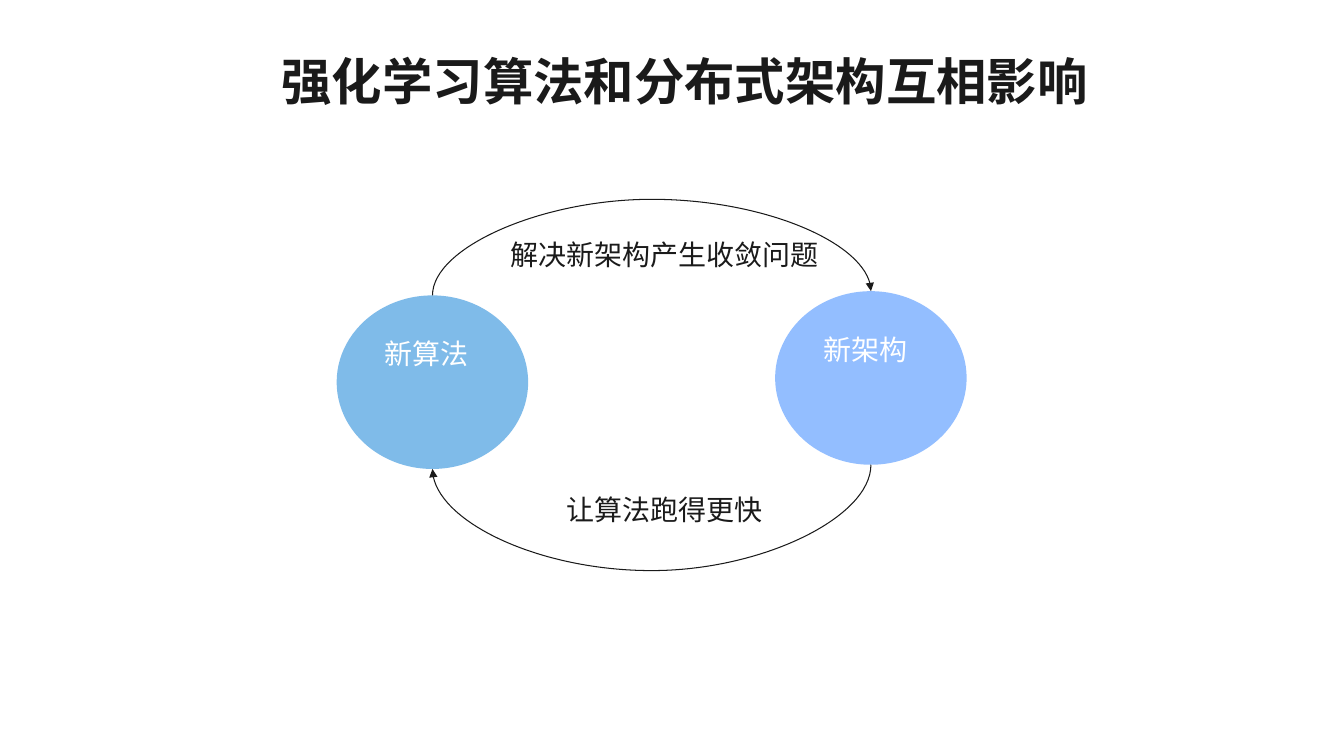
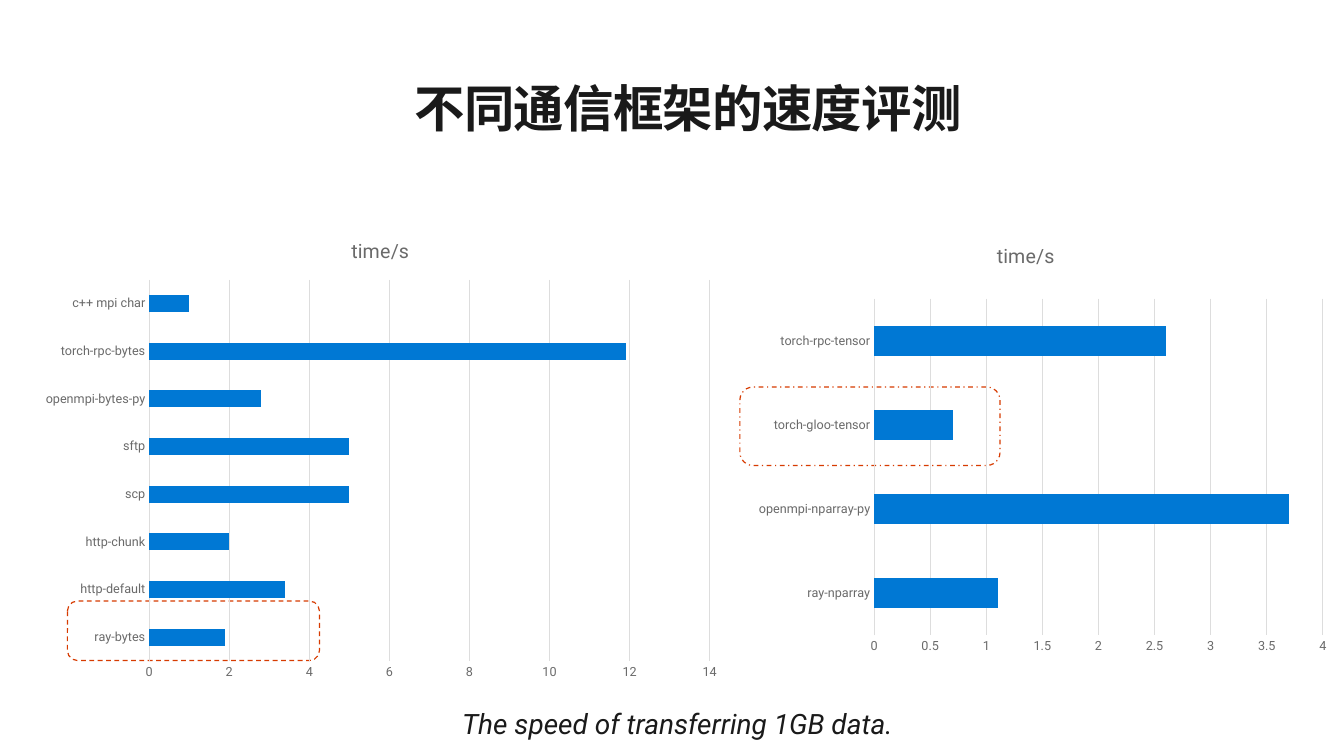
import collections

import lxml.etree
import pptx
import pptx.chart.data
import pptx.dml.color
import pptx.enum.chart
import pptx.enum.dml
import pptx.enum.shapes
import pptx.enum.text
import pptx.oxml.ns
import pptx.util

Pt = pptx.util.Pt
qn = pptx.oxml.ns.qn
Shape = pptx.enum.shapes.MSO_SHAPE
Dash = pptx.enum.dml.MSO_LINE
Anchor = pptx.enum.text.MSO_ANCHOR
Box = collections.namedtuple("Box", "left top width height")

FONT = "Roboto"
INK, WHITE, GREY, GRID = "1A1A1A", "FFFFFF", "6A6A6A", "DDDDDD"
BLUE, BRIGHT_BLUE, ORANGE = "0078D4", "287EFF", "D73B01"
TITLE_WIDTH, TITLE_HEIGHT = 720, 44
LABEL_HEIGHT = 24.5
ELLIPSE_TOP_SITE, ELLIPSE_BOTTOM_SITE = 0, 4


def paint(fill, color):
    fill.solid()
    fill.fore_color.rgb = pptx.dml.color.RGBColor.from_string(color)


def points(box):
    return [Pt(length) for length in box]


def style_font(font, size, color, bold=False, italic=False):
    font.name = FONT
    font.size = Pt(size)
    font.bold = bold
    font.italic = italic
    paint(font.fill, color)


def write(frame, text, size, color, margins=(0, 0), **emphasis):
    """Put one left-aligned run into a text frame."""
    frame.margin_left = frame.margin_right = Pt(margins[0])
    frame.margin_top = frame.margin_bottom = Pt(margins[1])
    para = frame.paragraphs[0]
    para.alignment = pptx.enum.text.PP_ALIGN.LEFT
    span = para.add_run()
    span.text = text
    style_font(span.font, size, color, **emphasis)
    return span


def add_page(deck, title, left, top, spacing=None):
    """Add a slide with a title; spacing is in hundredths of a point."""
    page = deck.slides.add_slide(deck.slide_layouts.get_by_name("Title Only"))
    holder = page.shapes.title
    holder.left, holder.top, holder.width, holder.height = points(
        Box(left, top, TITLE_WIDTH, TITLE_HEIGHT))
    frame = holder.text_frame
    frame.word_wrap = True
    frame.vertical_anchor = Anchor.BOTTOM
    frame.auto_size = pptx.enum.text.MSO_AUTO_SIZE.SHAPE_TO_FIT_TEXT
    span = write(frame, title, 36, INK, bold=True)
    if spacing is not None:
        span.font._element.set("spc", str(spacing))
    return page


def add_label(page, text, left, top, width, italic=False):
    label = page.shapes.add_textbox(*points(Box(left, top, width, LABEL_HEIGHT)))
    frame = label.text_frame
    frame.word_wrap = False
    frame.auto_size = pptx.enum.text.MSO_AUTO_SIZE.SHAPE_TO_FIT_TEXT
    write(frame, text, 20, INK, italic=italic)


def add_node(page, text, box, color):
    """Add a half-transparent ellipse with its name."""
    node = page.shapes.add_shape(Shape.OVAL, *points(box))
    node.shadow.inherit = False
    node.line.fill.background()
    paint(node.fill, color)
    tint = node._element.spPr.find(qn("a:solidFill"))[0]
    lxml.etree.SubElement(tint, qn("a:alpha"), val="50000")
    node.text_frame.vertical_anchor = Anchor.TOP
    write(node.text_frame, text, 20, WHITE, margins=(14.4, 11.5))
    return node


def add_arc(page, start, end, site, bulge):
    """Join two nodes at the same site by a curve that swings out by bulge."""
    def site_point(node):
        drop = node.height if site == ELLIPSE_BOTTOM_SITE else 0
        return node.left + node.width // 2, node.top + drop

    (start_x, start_y), (end_x, end_y) = site_point(start), site_point(end)
    middle_x, middle_y = (start_x + end_x) // 2, (start_y + end_y) // 2
    # A quarter turn swaps the two half spans.
    half_x, half_y = (end_y - start_y) // 2, (start_x - end_x) // 2
    arc = page.shapes.add_connector(
        pptx.enum.shapes.MSO_CONNECTOR.CURVE,
        middle_x - half_x, middle_y - half_y, middle_x + half_x, middle_y + half_y)
    arc.rotation = 90
    arc.line.width = Pt(0.75)
    paint(arc.line.fill, INK)
    lxml.etree.SubElement(arc.line._get_or_add_ln(), qn("a:tailEnd"), type="triangle")
    properties = arc._element.spPr
    lxml.etree.SubElement(properties, qn("a:effectLst"))
    guides = properties.find(qn("a:prstGeom")).find(qn("a:avLst"))
    ratio = round(Pt(bulge) / abs(end_y - start_y) * 100000)
    lxml.etree.SubElement(guides, qn("a:gd"), name="adj1", fmla=f"val {ratio}")
    links = arc._element.find(".//" + qn("p:cNvCxnSpPr"))
    for tag, node in (("a:stCxn", start), ("a:endCxn", end)):
        lxml.etree.SubElement(links, qn(tag), id=str(node.shape_id), idx=str(site))


def add_cycle(page, box):
    """Draw two nodes at the sides of a box and the two arcs between them."""
    width, height = 136.8, 124
    algorithm = add_node(page, "新算法", Box(box.left, box.top + 71, width, height), BLUE)
    architecture = add_node(
        page, "新架构",
        Box(box.left + box.width - width, box.top + 68, width, height), BRIGHT_BLUE)
    add_arc(page, algorithm, architecture, ELLIPSE_TOP_SITE, 68.5)
    add_arc(page, architecture, algorithm, ELLIPSE_BOTTOM_SITE, 75.5)
    add_label(page, "解决新架构产生收敛问题", box.left + 124, box.top + 30, 222.5)
    add_label(page, "让算法跑得更快", box.left + 164, box.top + 211.5, 141)


def add_highlight(page, box, dash):
    frame = page.shapes.add_shape(Shape.ROUNDED_RECTANGLE, *points(box))
    frame.shadow.inherit = False
    frame.fill.background()
    paint(frame.line.fill, ORANGE)
    frame.line.width = Pt(0.85)
    frame.line.dash_style = dash


def place_plot(chart, plot):
    """Fix the inner plot area, given as fractions of the chart."""
    area = chart._chartSpace.chart.plotArea
    for old in area.findall(qn("c:layout")):
        area.remove(old)
    layout = lxml.etree.Element(qn("c:layout"))
    area.insert(0, layout)
    manual = lxml.etree.SubElement(layout, qn("c:manualLayout"))
    settings = [("layoutTarget", "inner"), ("xMode", "edge"), ("yMode", "edge")]
    settings += zip("xywh", plot)
    for name, value in settings:
        lxml.etree.SubElement(manual, qn("c:" + name), val=str(value))


def add_time_chart(page, box, times, maximum, unit, plot):
    data = pptx.chart.data.CategoryChartData()
    data.categories = list(times)
    data.add_series("time/s", list(times.values()))
    chart = page.shapes.add_chart(
        pptx.enum.chart.XL_CHART_TYPE.BAR_CLUSTERED, *points(box), data).chart
    style_font(chart.font, 10, INK)
    chart.has_legend = False
    chart.has_title = True
    span = chart.chart_title.text_frame.paragraphs[0].add_run()
    span.text = "time/s"
    style_font(span.font, 14, GREY)

    bars = chart.plots[0]
    bars.gap_width = 182
    bars.vary_by_categories = False
    paint(bars.series[0].format.fill, BLUE)

    names, scale = chart.category_axis, chart.value_axis
    for axis in (names, scale):
        axis.major_tick_mark = axis.minor_tick_mark = pptx.enum.chart.XL_TICK_MARK.NONE
        style_font(axis.tick_labels.font, 9, GREY)
    scale.minimum_scale, scale.maximum_scale, scale.major_unit = 0, maximum, unit
    scale.format.line.fill.background()
    scale.has_major_gridlines = True
    for line in (names.format.line, scale.major_gridlines.format.line):
        paint(line.fill, GRID)
        line.width = Pt(0.75)
    place_plot(chart, plot)


def build_cycle_page(deck):
    page = add_page(deck, "强化学习算法和分布式架构互相影响", 201, 35.3)
    add_cycle(page, Box(240.5, 140, 450, 270))


def build_speed_page(deck):
    page = add_page(deck, "不同通信框架的速度评测", 296, 54, spacing=-50)
    add_highlight(page, Box(48.2, 429.3, 180, 42.5), Dash.DASH)
    add_highlight(page, Box(528.5, 276.5, 185.8, 56), Dash.DASH_DOT)
    tensor_times = {
        "ray-nparray": 1.1,
        "openmpi-nparray-py": 3.7,
        "torch-gloo-tensor": 0.7,
        "torch-rpc-tensor": 2.6,
    }
    add_time_chart(page, Box(507, 160, 451.5, 334), tensor_times, 4, 0.5,
                   (0.26, 0.16, 0.71, 0.72))
    add_label(page, "The speed of transferring 1GB data.", 330, 504.7, 317, italic=True)
    byte_times = {
        "ray-bytes": 1.9,
        "http-default": 3.4,
        "http-chunk": 2,
        "scp": 5,
        "sftp": 5,
        "openmpi-bytes-py": 2.8,
        "torch-rpc-bytes": 11.9,
        "c++ mpi char": 1,
    }
    add_time_chart(page, Box(21.5, 156.2, 500.5, 336.2), byte_times, 14, 2,
                   (0.17, 0.13, 0.8, 0.81))


def main():
    deck = pptx.Presentation()
    deck.slide_width, deck.slide_height = Pt(960), Pt(540)
    build_cycle_page(deck)
    build_speed_page(deck)
    deck.save("out.pptx")


if __name__ == "__main__":
    main()
